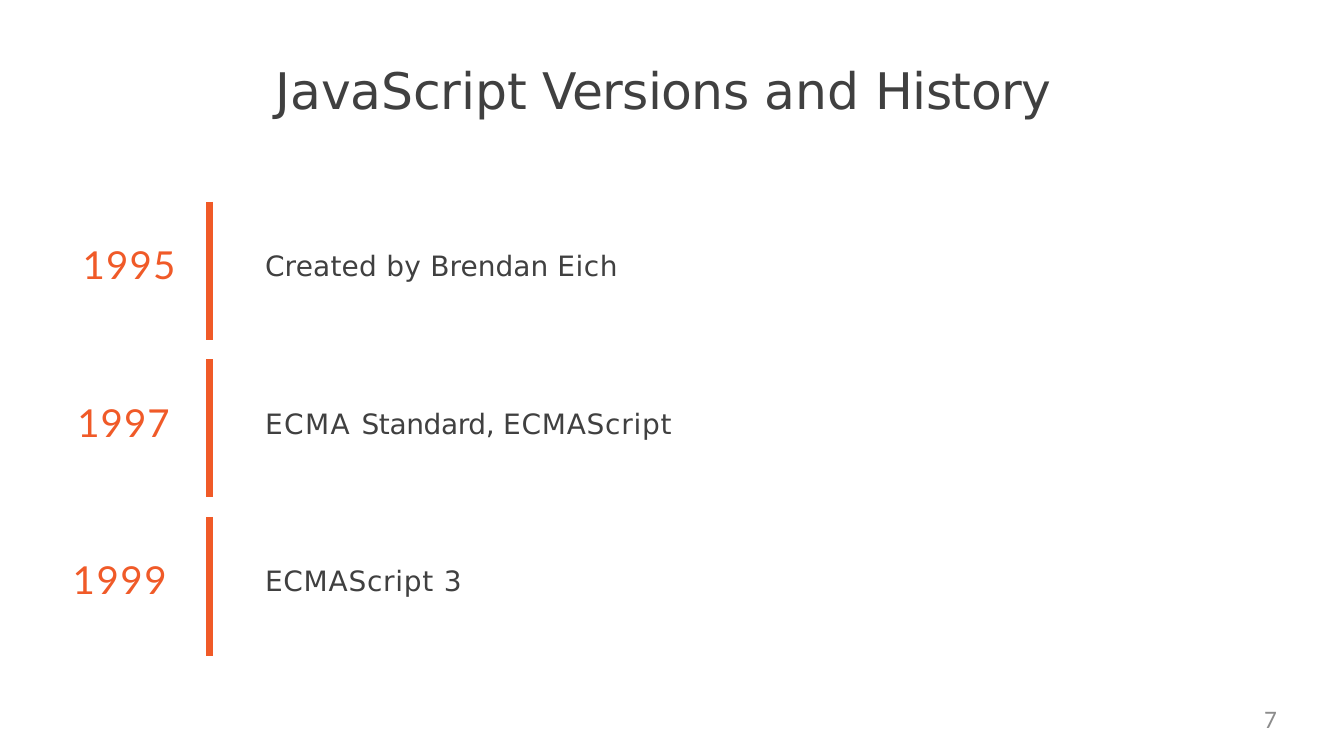
from lxml import etree
from pptx import Presentation
from pptx.dml.color import RGBColor
from pptx.enum.text import PP_ALIGN
from pptx.oxml.ns import qn
from pptx.util import Cm, Pt

RIGHT = PP_ALIGN.RIGHT

ORANGE = RGBColor(0xF0, 0x5A, 0x28)
DARK = RGBColor(0x40, 0x40, 0x40)
GREY = RGBColor(0x8C, 0x8C, 0x8C)

BODY_FONT = "DejaVu Sans"
ROW_HEIGHT, GAP_HEIGHT = Cm(3.48), Cm(0.49)

# Runs are (text, letter spacing in hundredths of a point)
TITLE = [("JavaScript ", -10), ("Versions ", -50), ("and ", -10), ("History", -30)]

# Year, its letter spacing, its indent, description runs
EVENTS = [
    ("1995", 90, Cm(0.33),
     [("Created ", 10), ("by ", 20), ("Brendan ", 0), ("Eich", 40)]),
    ("1997", 80, Cm(0.2),
     [("ECMA ", 100), ("Standard, ", -30), ("ECMAScript", 50)]),
    ("1999", 120, Cm(0.08),
     [("ECMAScript ", 50), ("3", -50)]),
]


def write_runs(p, runs, font, size, color):
    for text, spacing in runs:
        r = p.add_run()
        r.text = text
        r.font.name = font
        r.font.size = Pt(size)
        r.font.color.rgb = color
        r.font._element.set("spc", str(spacing))


def clear_margins(box):
    box.margin_left = box.margin_right = box.margin_top = box.margin_bottom = 0


def add_text(s, left, top, width, height, runs, font, size, color):
    tf = s.shapes.add_textbox(left, top, width, height).text_frame
    tf.word_wrap = True
    clear_margins(tf)
    p = tf.paragraphs[0]
    write_runs(p, runs, font, size, color)
    return p


def add_border(cell, side):
    ln = etree.Element(qn(f"a:{side}"), w=str(Pt(6.23)))
    fill = etree.SubElement(ln, qn("a:solidFill"))
    etree.SubElement(fill, qn("a:srgbClr"), val=str(ORANGE))
    cell._tc.get_or_add_tcPr().insert(0, ln)


def fill_cell(cell, runs, font, size, color, indent, top, side):
    cell.margin_left = indent
    cell.margin_top = Pt(top)
    write_runs(cell.text_frame.paragraphs[0], runs, font, size, color)
    add_border(cell, side)


def shrink_empty(cell):
    """Keep an empty cell from stretching its narrow row."""
    p = cell.text_frame.paragraphs[0]._p
    etree.SubElement(p, qn("a:endParaRPr"), sz="800")


def add_timeline(s):
    rows = 2 * len(EVENTS) - 1
    height = ROW_HEIGHT * len(EVENTS) + GAP_HEIGHT * (len(EVENTS) - 1)
    table = s.shapes.add_table(rows, 2, Cm(1.75), Cm(5.1), Cm(15.27), height).table
    table.first_row = table.horz_banding = False
    table.columns[0].width = Cm(3.53)
    table.columns[1].width = Cm(11.74)
    for cell in table.iter_cells():
        clear_margins(cell)
        cell.fill.background()

    # Event rows alternate with narrow gaps
    for i, row in enumerate(table.rows):
        year_cell, text_cell = row.cells
        if i % 2:
            row.height = GAP_HEIGHT
            shrink_empty(year_cell)
            shrink_empty(text_cell)
            continue
        row.height = ROW_HEIGHT
        year, spacing, indent, runs = EVENTS[i // 2]
        fill_cell(year_cell, [(year, spacing)], "Lato", 27.5, ORANGE,
                  indent, 28.1, "lnR")
        fill_cell(text_cell, runs, BODY_FONT, 20, DARK, Cm(1.4), 34.5, "lnL")


def main():
    prs = Presentation()
    prs.slide_width, prs.slide_height = Cm(33.87), Cm(19.05)
    s = prs.slides.add_slide(prs.slide_layouts[6])

    # Timeline
    add_timeline(s)

    # Title
    p = add_text(s, Cm(6.95), Cm(1.48), Cm(19.84), Cm(1.6),
                 TITLE, BODY_FONT, 36, DARK)
    p.space_before = Pt(1)

    # Page number
    p = add_text(s, Cm(24.38), Cm(17.72), Cm(7.8), Cm(0.97),
                 [("7", 0)], "Calibri", 18, GREY)
    p.alignment = RIGHT

    prs.save("out.pptx")


if __name__ == "__main__":
    main()
